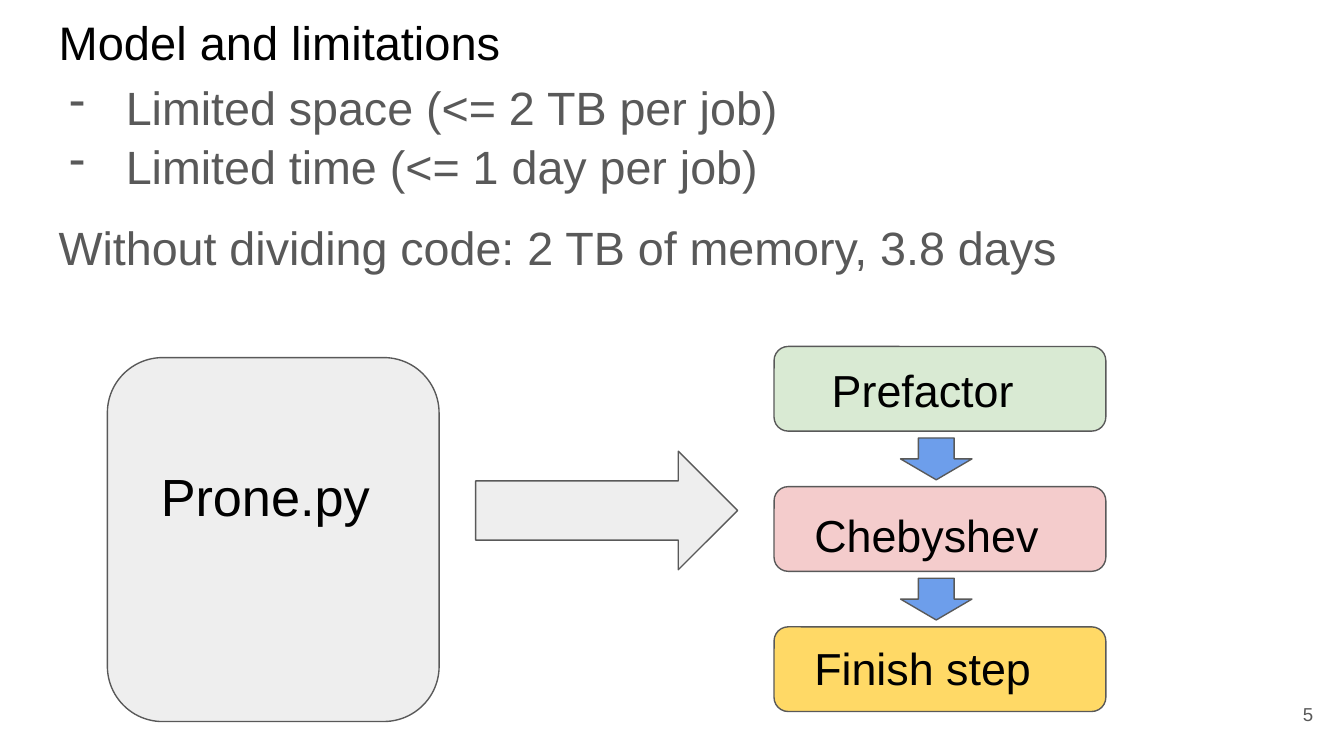
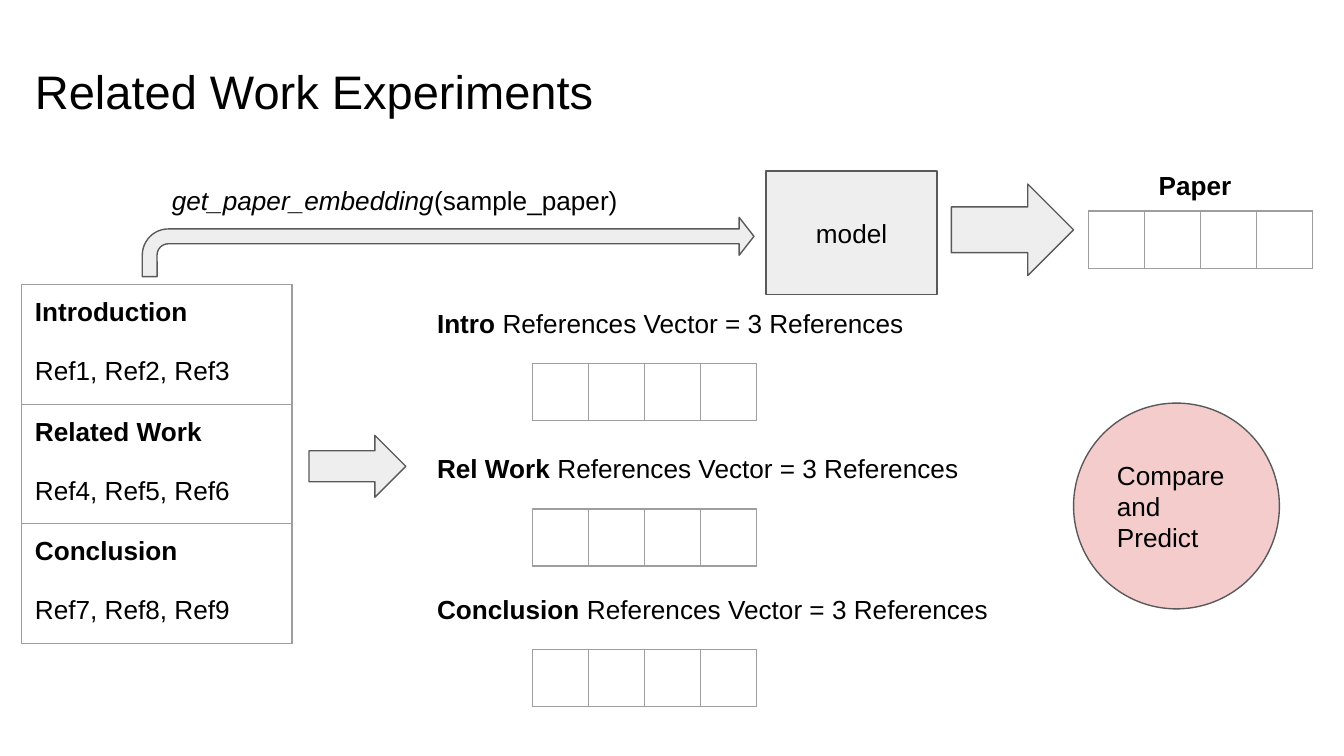
from lxml import etree
from pptx import Presentation
from pptx import util as u
from pptx.dml.color import RGBColor
from pptx.enum import shapes, text
from pptx.oxml import ns

Cm, Pt = u.Cm, u.Pt
KIND = shapes.MSO_SHAPE
ALIGN = text.PP_ALIGN
ANCHOR = text.MSO_ANCHOR

FONT = "Arial"
INSET = Cm(0.25)
COLORS = {
    "ink": "000000",
    "muted": "595959",
    "panel": "EEEEEE",
    "grid": "9E9E9E",
    "green": "D9EAD3",
    "pink": "F4CCCC",
    "yellow": "FFD966",
    "blue": "6D9EEB",
}


def color(name):
    return RGBColor.from_string(COLORS[name])


def set_font(paragraph, size, tint="ink"):
    font = paragraph.font
    font.name, font.size = FONT, Pt(size)
    font.color.rgb = color(tint)


def fill_paragraph(paragraph, runs, size, tint="ink", align=ALIGN.LEFT):
    """Write runs given as (text, style), where style is "", "b" or "i"."""
    paragraph.alignment = align
    set_font(paragraph, size, tint)
    for words, style in runs:
        run = paragraph.add_run()
        run.text = words
        if style == "b":
            run.font.bold = True
        elif style == "i":
            run.font.italic = True


def set_frame(frame, anchor=ANCHOR.TOP):
    frame.word_wrap = True
    frame.vertical_anchor = anchor
    frame.margin_left = frame.margin_right = INSET
    frame.margin_top = frame.margin_bottom = INSET


def add_text(slide, box, runs, size, tint="ink", align=ALIGN.LEFT, anchor=ANCHOR.TOP):
    frame = slide.shapes.add_textbox(*map(Cm, box)).text_frame
    set_frame(frame, anchor)
    fill_paragraph(frame.paragraphs[0], runs, size, tint, align)


def add_title(slide, left, top, words):
    add_text(slide, (left, top, 23.67, 1.6), [(words, "")], 25.2)


def add_block(slide, kind, box, fill, words="", align=ALIGN.CENTER, adjustments=()):
    shape = slide.shapes.add_shape(kind, *map(Cm, box))
    shape.shadow.inherit = False
    shape.fill.solid()
    shape.fill.fore_color.rgb = color(fill)
    shape.line.color.rgb = color("muted")
    shape.line.width = Pt(0.75)
    for index, value in enumerate(adjustments):
        shape.adjustments[index] = value
    if words:
        set_frame(shape.text_frame, ANCHOR.MIDDLE)
        fill_paragraph(shape.text_frame.paragraphs[0], [(words, "")], 14, align=align)


def add_dash(paragraph):
    properties = paragraph._p.get_or_add_pPr()
    properties.set("marL", str(Cm(1.27)))
    properties.set("indent", str(-Cm(1.07)))
    bullet_color = etree.SubElement(properties, ns.qn("a:buClr"))
    etree.SubElement(bullet_color, ns.qn("a:srgbClr"), val=COLORS["muted"])
    etree.SubElement(properties, ns.qn("a:buChar"), char="-")


def style_cell(cell):
    properties = cell._tc.get_or_add_tcPr()
    for side in ("lnL", "lnR", "lnT", "lnB"):
        line = etree.SubElement(properties, ns.qn("a:" + side), w=str(Pt(0.75)))
        solid = etree.SubElement(line, ns.qn("a:solidFill"))
        etree.SubElement(solid, ns.qn("a:srgbClr"), val=COLORS["grid"])
    cell.fill.background()


def add_grid(slide, left, top, rows, columns, cell_width, cell_height):
    frame = slide.shapes.add_table(
        rows, columns, Cm(left), Cm(top),
        Cm(cell_width * columns), Cm(cell_height * rows))
    table = frame.table
    table.first_row = table.horz_banding = False
    for column in table.columns:
        column.width = Cm(cell_width)
    for row in table.rows:
        row.height = Cm(cell_height)
    for cell in table.iter_cells():
        style_cell(cell)
    return table


def add_vector(slide, left, top):
    add_grid(slide, left, top, 1, 4, 1.06, 1.08)


def add_sections(slide, sections):
    table = add_grid(slide, 0.41, 5.38, len(sections), 1, 5.11, 2.26)
    for cell, (heading, references) in zip(table.iter_cells(), sections):
        cell.margin_left = cell.margin_right = INSET
        cell.margin_top = cell.margin_bottom = INSET
        frame = cell.text_frame
        fill_paragraph(frame.paragraphs[0], [(heading, "b")], 14)
        paragraph = frame.add_paragraph()
        paragraph.space_before = Pt(16)
        fill_paragraph(paragraph, [(references, "")], 14)


def add_limits(slide, limits, conclusion):
    frame = slide.shapes.add_textbox(Cm(0.86), Cm(1.19), Cm(23.67), Cm(5)).text_frame
    set_frame(frame)
    for index, words in enumerate(limits + [conclusion]):
        paragraph = frame.add_paragraph() if index else frame.paragraphs[0]
        if words in limits:
            add_dash(paragraph)
        else:
            paragraph.space_before = paragraph.space_after = Pt(12)
        paragraph.line_spacing = 1.05
        fill_paragraph(paragraph, [(words, "")], 25, "muted")


def build_model_slide(slide):
    add_text(slide, (23.55, 12.95, 1.52, 1.09), [("5", "")], 10, "muted",
             ALIGN.RIGHT, ANCHOR.MIDDLE)
    add_title(slide, 0.86, 0, "Model and limitations")
    add_limits(slide,
               ["Limited space (<= 2 TB per job)", "Limited time (<= 1 day per job)"],
               "Without dividing code: 2 TB of memory, 3.8 days")

    # Whole program
    add_block(slide, KIND.ROUNDED_RECTANGLE, (2.03, 6.76, 6.27, 6.88), "panel")
    add_text(slide, (2.79, 8.53, 4.7, 2.95), [("Prone.py", "")], 28)
    add_block(slide, KIND.RIGHT_ARROW, (8.99, 8.53, 4.95, 2.24), "panel")

    # Divided steps
    steps = [
        ("Prefactor", "green", 15.47, 6.6),
        ("Chebyshev", "pink", 15.14, 9.35),
        ("Finish step", "yellow", 15.14, 11.86),
    ]
    pitch = 2.65
    for index, (words, fill, left, top) in enumerate(steps):
        offset = index * pitch
        add_block(slide, KIND.ROUNDED_RECTANGLE, (14.63, 6.55 + offset, 6.27, 1.6), fill)
        add_text(slide, (left, top, 5.26, 1.27), [(words, "")], 24)
        if index < len(steps) - 1:
            add_block(slide, KIND.DOWN_ARROW, (17.02, 8.28 + offset, 1.35, 0.79), "blue")


def build_experiments_slide(slide):
    add_title(slide, 0.41, 0.94, "Related Work Experiments")

    # Paper sections and their references
    add_sections(slide, [
        ("Introduction", "Ref1, Ref2, Ref3"),
        ("Related Work", "Ref4, Ref5, Ref6"),
        ("Conclusion", "Ref7, Ref8, Ref9"),
    ])
    add_block(slide, KIND.RIGHT_ARROW, (5.84, 8.23, 1.83, 1.17), "panel")

    # Paper embedding
    add_block(slide, KIND.BENT_ARROW, (2.69, 4.11, 11.56, 1.12), "panel",
              adjustments=(0.25, 0.32, 0.25, 0.44))
    add_text(slide, (3, 3.23, 10.26, 0.89),
             [("get_paper_embedding", "i"), ("(sample_paper)", "")], 14)
    add_block(slide, KIND.FLOWCHART_PROCESS, (14.48, 3.23, 3.23, 2.34), "panel", "model")
    add_block(slide, KIND.RIGHT_ARROW, (17.98, 3.48, 2.31, 1.73), "panel")
    add_text(slide, (21.41, 2.95, 2.49, 1.12), [("Paper ", "b")], 14, align=ALIGN.CENTER)
    add_vector(slide, 20.57, 3.99)

    # Reference vectors
    for name, top in (("Intro ", 5.56), ("Rel Work ", 8.31), ("Conclusion ", 10.97)):
        add_text(slide, (8.01, top, 12.7, 1.6),
                 [(name, "b"), ("References Vector = 3 References", "")], 14)
        add_vector(slide, 10.06, top + 1.31)

    # Prediction
    add_block(slide, KIND.OVAL, (20.29, 7.62, 3.89, 3.89), "pink",
              "Compare and Predict", ALIGN.LEFT)


def main():
    presentation = Presentation()
    presentation.slide_width, presentation.slide_height = Cm(25.4), Cm(14.29)
    blank = presentation.slide_layouts[6]
    for build in (build_model_slide, build_experiments_slide):
        build(presentation.slides.add_slide(blank))
    presentation.save("out.pptx")


if __name__ == "__main__":
    main()
